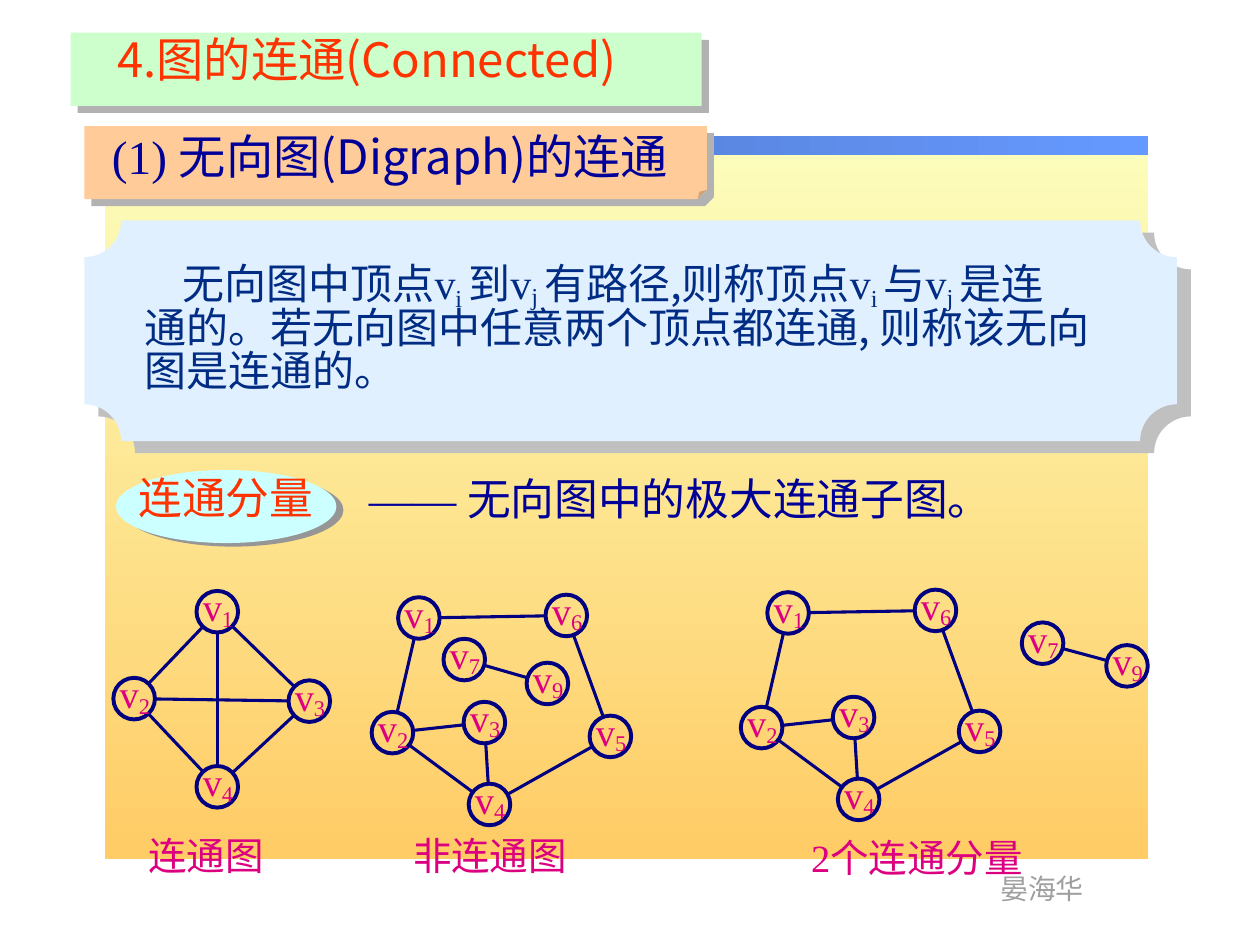
from math import hypot

from lxml.etree import SubElement
from pptx import Presentation
from pptx.dml.color import RGBColor
from pptx.enum.shapes import MSO_CONNECTOR, MSO_SHAPE as SHAPE
from pptx.enum.text import MSO_ANCHOR, PP_ALIGN as ALIGN
from pptx.oxml.ns import qn
from pptx.util import Inches, Pt

NAVY = RGBColor(0x00, 0x00, 0x80)
BLUE = RGBColor(0x00, 0x00, 0x99)
DEEP_BLUE = RGBColor(0x00, 0x2C, 0x84)
RED = RGBColor(0xFF, 0x33, 0x00)
PINK = RGBColor(0xDC, 0x00, 0x81)
GRAY = RGBColor(0x9F, 0x9F, 0x9F)
GREEN_FILL = RGBColor(0xCC, 0xFF, 0xCC)
ORANGE_FILL = RGBColor(0xFF, 0xCC, 0x99)
CYAN_FILL = RGBColor(0xCC, 0xFF, 0xFF)
PALE_BLUE = RGBColor(0xE1, 0xF0, 0xFF)
SHADOW_GRAY = RGBColor(0xB2, 0xB2, 0xB2)
SHADOW_DARK = RGBColor(0x96, 0x96, 0x96)
SHADOW_LIGHT = RGBColor(0xC0, 0xC0, 0xC0)
YELLOW_TOP = RGBColor(0xFC, 0xFE, 0xBC)
YELLOW_BOTTOM = RGBColor(0xFF, 0xCC, 0x66)
BAR_LEFT = RGBColor(0x49, 0x6D, 0xB6)
BAR_RIGHT = RGBColor(0x66, 0x99, 0xFF)

HAN = "Noto Sans CJK SC"
LATIN = "Times New Roman"
DIAMETER = 0.33
LINE_SPACING = 0.88

# Top left corners of the vertices, and the pairs of vertices joined
FULL_NODES = {1: (1.56, 4.69), 2: (0.9, 5.38), 4: (1.56, 6.08), 3: (2.29, 5.4)}
FULL_EDGES = [(2, 3), (1, 4), (1, 2), (3, 4), (1, 3), (2, 4)]
MAIN_NODES = {1: (3.16, 4.74), 6: (4.33, 4.72), 2: (2.95, 5.65),
              4: (3.72, 6.22), 5: (4.68, 5.68), 3: (3.68, 5.57)}
MAIN_EDGES = [(1, 2), (1, 6), (5, 4), (2, 4), (6, 5), (2, 3), (3, 4)]
PAIR_NODES = {7: (3.52, 5.07), 9: (4.18, 5.26)}
FAR_PAIR_NODES = {7: (8.11, 4.94), 9: (8.78, 5.12)}
PAIR_EDGES = [(7, 9)]


def add_shadow(parent, color, distance, angle):
    effects = SubElement(parent, qn("a:effectLst"))
    shadow = SubElement(effects, qn("a:outerShdw"), dist=str(Pt(distance)),
                        dir=str(angle * 60000), algn="ctr", rotWithShape="0")
    SubElement(shadow, qn("a:srgbClr"), val=str(color))


def add_gradient_band(page, area, colors, angle):
    band = page.shapes.add_shape(SHAPE.RECTANGLE, *map(Inches, area))
    band.shadow.inherit = False
    band.line.fill.background()
    band.fill.gradient()
    band.fill.gradient_angle = angle
    for stop, color in zip(band.fill.gradient_stops, colors):
        stop.color.rgb = color


def add_panel(page, kind, area, color, shadow):
    panel = page.shapes.add_shape(kind, *map(Inches, area))
    panel.fill.solid()
    panel.fill.fore_color.rgb = color
    panel.line.fill.background()
    add_shadow(panel._element.spPr, *shadow)
    return panel


def set_fold(panel, share):
    """Set the fold size in XML, as this shape offers no adjustments."""
    values = next(panel._element.iter(qn("a:avLst")))
    for guide in list(values):
        values.remove(guide)
    SubElement(values, qn("a:gd"), name="adj", fmla=f"val {round(share * 100000)}")


def add_span(para, text, font, size, color, baseline=0, shadowed=False):
    span = para.add_run()
    span.text = text
    span.font.size = Pt(size)
    span.font.color.rgb = color
    props = span._r.get_or_add_rPr()
    if baseline:
        props.set("baseline", str(baseline * 1000))
    if shadowed:
        add_shadow(props, RGBColor(0, 0, 0), 2, 45)
    span.font.name = font
    SubElement(props, qn("a:ea"), typeface=font)


def fill_text(frame, spans, size, color, shadowed=False):
    """Write (text, font) spans as one line in the first paragraph."""
    para = frame.paragraphs[0]
    para.line_spacing = LINE_SPACING
    for text, font in spans:
        add_span(para, text, font, size, color, shadowed=shadowed)


def add_text(page, area, spans, size, color, wrap=True, shadowed=False):
    box = page.shapes.add_textbox(*map(Inches, area))
    box.text_frame.word_wrap = wrap
    fill_text(box.text_frame, spans, size, color, shadowed)


def set_title(page):
    title = page.shapes.title
    title.left, title.top, title.width, title.height = map(
        Inches, (0.83, 0.25, 4.8, 1.01))
    frame = title.text_frame
    frame.vertical_anchor = MSO_ANCHOR.TOP
    frame.paragraphs[0].alignment = ALIGN.LEFT
    fill_text(frame, [("4.图的连通(Connected)", HAN)], 27, RED, shadowed=True)
    page.shapes._spTree.append(title._element)  # in front of its panel


def add_edge(shapes, start, end):
    """Join two vertices from rim to rim."""
    (x1, y1), (x2, y2) = [(x + DIAMETER / 2, y + DIAMETER / 2)
                          for x, y in (start, end)]
    ratio = DIAMETER / 2 / hypot(x2 - x1, y2 - y1)
    dx, dy = (x2 - x1) * ratio, (y2 - y1) * ratio
    edge = shapes.add_connector(MSO_CONNECTOR.STRAIGHT, *map(
        Inches, (x1 + dx, y1 + dy, x2 - dx, y2 - dy)))
    edge.line.color.rgb = NAVY
    edge.line.width = Pt(1.75)
    SubElement(edge._element.spPr, qn("a:effectLst"))


def add_vertex(shapes, number, x, y):
    ring = shapes.add_shape(SHAPE.OVAL, *map(Inches, (x, y, DIAMETER, DIAMETER)))
    ring.shadow.inherit = False
    ring.fill.background()
    ring.line.color.rgb = NAVY
    ring.line.width = Pt(2.25)
    label = shapes.add_textbox(*map(Inches, (x - 0.06, y - 0.11, 0.46, 0.47)))
    label.text_frame.word_wrap = False
    para = label.text_frame.paragraphs[0]
    para.alignment = ALIGN.CENTER
    add_span(para, "v", LATIN, 22, PINK)
    add_span(para, str(number), LATIN, 22, PINK, -14)


def add_graph(page, nodes, edges, shift=(0, 0)):
    places = {number: (x + shift[0], y + shift[1])
              for number, (x, y) in nodes.items()}
    shapes = page.shapes.add_group_shape().shapes
    for start, end in edges:
        add_edge(shapes, places[start], places[end])
    for number, (x, y) in places.items():
        add_vertex(shapes, number, x, y)


def add_definition(page):
    lines = [
        [("无向图中顶点", HAN, 0), ("v", LATIN, 0), ("i ", LATIN, -20),
         ("到", HAN, 0), ("v", LATIN, 0), ("j ", LATIN, -14),
         ("有路径,则称顶点", HAN, 0), ("v", LATIN, 0), ("i ", LATIN, -20),
         ("与", HAN, 0), ("v", LATIN, 0), ("j ", LATIN, -16), ("是连", HAN, 0)],
        [("通的。若无向图中任意两个顶点都连通, 则称该无向", HAN, 0)],
        [("图是连通的。", HAN, 0)],
    ]
    box = page.shapes.add_textbox(*map(Inches, (1.05, 2.03, 8.28, 1.3)))
    frame = box.text_frame
    frame.word_wrap = True
    for index, spans in enumerate(lines):
        para = frame.add_paragraph() if index else frame.paragraphs[0]
        para.line_spacing = 0.85
        if index == 0:
            para._p.get_or_add_pPr().set("indent", str(Inches(0.3)))
        for text, font, baseline in spans:
            add_span(para, text, font, 24, DEEP_BLUE, baseline)


def main():
    deck = Presentation()
    deck.slide_width, deck.slide_height = Inches(10), Inches(7.5)
    page = deck.slides.add_slide(deck.slide_layouts[5])

    add_gradient_band(page, (0.83, 1.1, 8.28, 5.72), (YELLOW_TOP, YELLOW_BOTTOM), 270)
    add_gradient_band(page, (0.84, 1.08, 8.27, 0.15), (BAR_LEFT, BAR_RIGHT), 0)
    add_text(page, (7.84, 6.9, 0.87, 0.37), [("晏海华", "Arial Narrow")], 16, GRAY,
             wrap=False)

    note = add_panel(page, SHAPE.FOLDED_CORNER, (0.67, 1, 4.94, 0.58), ORANGE_FILL,
                     (SHADOW_GRAY, 5.7, 45))
    set_fold(note, 0.125)
    add_text(page, (0.79, 1.02, 5.39, 0.55),
             [("(1) ", LATIN), ("无向图(Digraph)的连通", HAN)], 27, BLUE)
    add_panel(page, SHAPE.RECTANGLE, (0.56, 0.26, 5.01, 0.58), GREEN_FILL,
              (SHADOW_GRAY, 5.7, 45))
    set_title(page)

    add_panel(page, SHAPE.OVAL, (0.92, 3.73, 1.75, 0.58), CYAN_FILL,
              (SHADOW_DARK, 4.5, 27))
    add_text(page, (1, 3.74, 2.16, 0.52), [("连通分量", HAN)], 25, RED, shadowed=True)
    add_text(page, (2.83, 3.75, 5.25, 0.52),
             [("—— ", LATIN), ("无向图中的极大连通子图。", HAN)], 25, BLUE)

    add_graph(page, MAIN_NODES | PAIR_NODES, MAIN_EDGES + PAIR_EDGES)
    add_graph(page, FULL_NODES, FULL_EDGES)
    add_graph(page, MAIN_NODES, MAIN_EDGES, shift=(2.93, -0.04))
    add_graph(page, FAR_PAIR_NODES, PAIR_EDGES)
    for area, spans in (
            ((6.34, 6.62, 2.33, 0.47), [("2", LATIN), ("个连通分量", HAN)]),
            ((1.08, 6.6, 1.32, 0.47), [("连通图", HAN)]),
            ((3.18, 6.6, 1.82, 0.47), [("非连通图", HAN)])):
        add_text(page, area, spans, 22, PINK)

    add_panel(page, SHAPE.PLAQUE, (0.67, 1.75, 8.67, 1.75), PALE_BLUE,
              (SHADOW_LIGHT, 10.6, 41))
    add_definition(page)
    deck.save("out.pptx")


if __name__ == "__main__":
    main()
